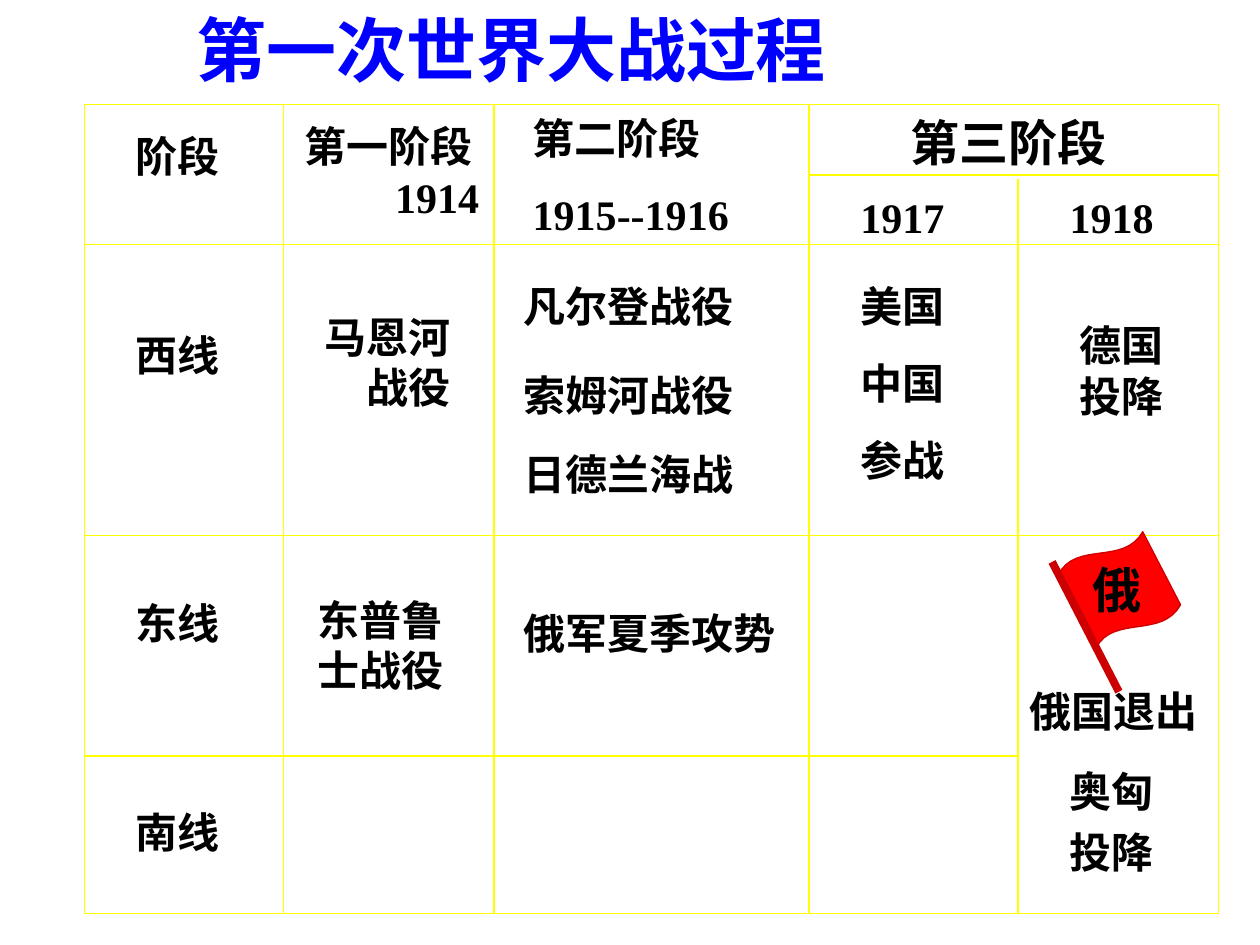
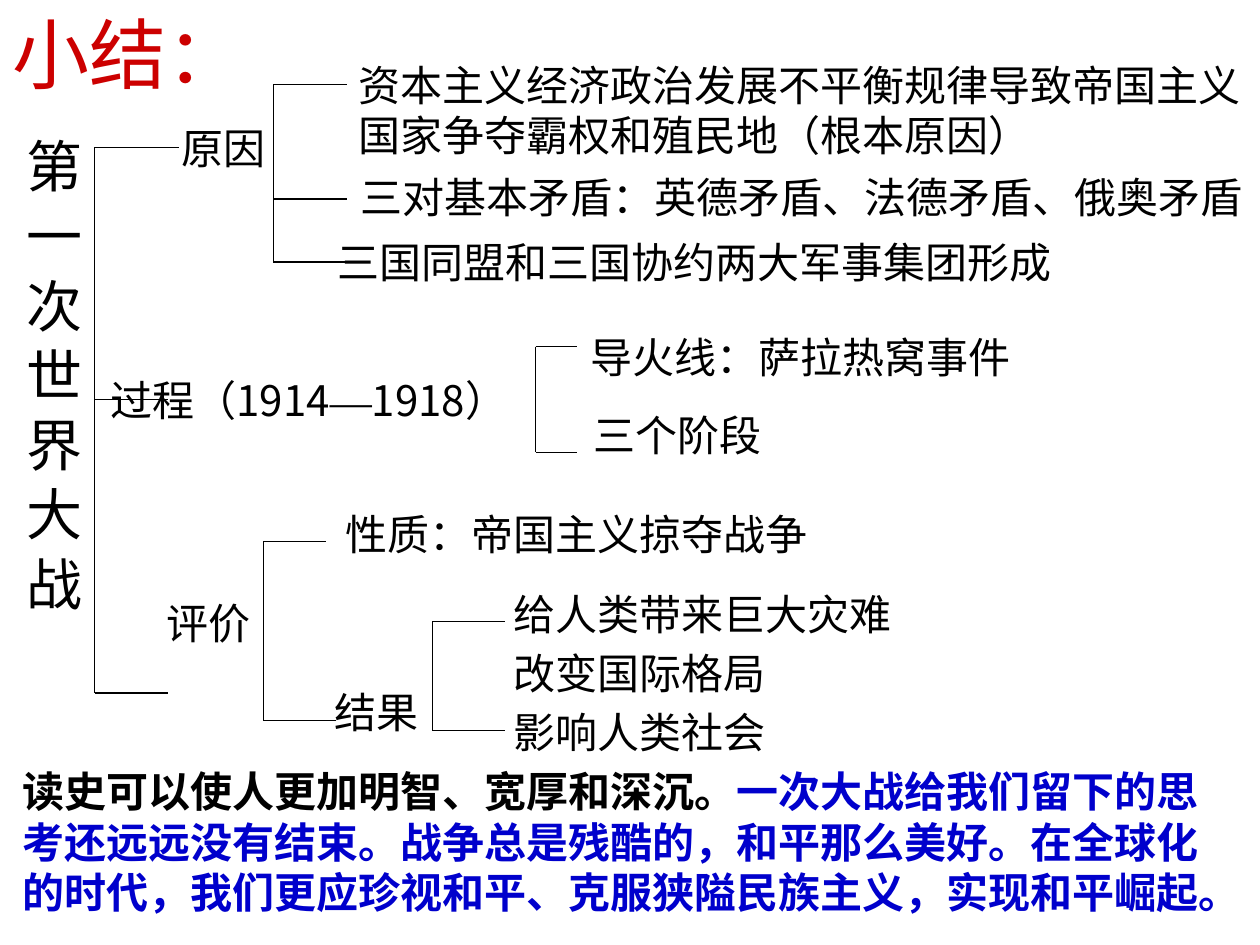
from dataclasses import dataclass

from lxml import etree
from pptx import Presentation
from pptx.dml.color import RGBColor
from pptx.enum.shapes import MSO_CONNECTOR, MSO_SHAPE
from pptx.enum.text import MSO_ANCHOR, MSO_AUTO_SIZE, PP_ALIGN
from pptx.oxml.ns import qn
from pptx.util import Inches, Pt

LEFT, RIGHT = PP_ALIGN.LEFT, PP_ALIGN.RIGHT
TOP = MSO_ANCHOR.TOP
FIXED = MSO_AUTO_SIZE.NONE
RECT = MSO_SHAPE.RECTANGLE
STRAIGHT = MSO_CONNECTOR.STRAIGHT

WIDE, HIGH = Inches(10), Inches(7.5)
COLS, ROWS = 100, 75
TITLE_ONLY = 5


@dataclass(frozen=True)
class Theme:
    black: str = "000000"
    blue: str = "0000FF"
    navy: str = "0000CC"
    red: str = "FF0000"
    dark: str = "CC0000"
    yellow: str = "FFFF00"
    sans: str = "Noto Sans CJK SC"
    serif: str = "Times New Roman"
    plain: str = "Arial"
    body: int = 24
    large: int = 28
    spine: int = 32
    head: int = 40
    recap: int = 44
    thin: float = 0.75
    pole: float = 4.5


T = Theme()


@dataclass(frozen=True)
class Style:
    size: int = T.body
    face: str = T.sans
    color: str = T.black
    bold: bool = False


@dataclass(frozen=True)
class Run:
    text: str
    face: str = ""
    color: str = ""


@dataclass(frozen=True)
class Label:
    x: float
    y: float
    w: float
    h: float
    lines: tuple
    style: Style = Style()
    gaps: tuple = ()
    aligns: tuple = ()


@dataclass(frozen=True)
class Rule:
    x1: float
    y1: float
    x2: float
    y2: float


@dataclass(frozen=True)
class Fork:
    x: float
    tips: tuple


CELL = Style(face=T.serif, bold=True)
CELL_SANS = Style(bold=True)
CELL_BIG = Style(T.large, T.serif, bold=True)
NOTE = Style()

X = (6.7, 22.5, 39.2, 64.2, 80.8, 96.7)
Y = (8.3, 13.9, 19.4, 42.5, 60, 72.5)

GRID = (
    *(Rule(x, Y[0], x, Y[-1]) for x in X[1:4]),
    Rule(X[4], 14.2, X[4], Y[-1]),
    Rule(X[3], Y[1], X[-1], Y[1]),
    *(Rule(X[0], y, X[-1], y) for y in Y[2:4]),
    Rule(X[0], Y[4], X[4], Y[4]),
)

HEADS = (
    Label(9.8, 9.9, 13.3, 5, ("阶段",), CELL),
    Label(23.2, 9.1, 15.8, 9, ("第一阶段", "1914"), CELL,
          aligns=(LEFT, RIGHT)),
    Label(41.3, 8.4, 23.3, 11.1, ("第二阶段", "1915--1916"), CELL, (0, 15)),
    Label(71.3, 8.4, 22.5, 5.7, ("第三阶段",), CELL_BIG),
    Label(67.3, 14.7, 14.2, 5, ("1917",), CELL),
    Label(83.9, 14.7, 11.7, 5, ("1918",), CELL),
)

FRONTS = (
    Label(9.8, 25.7, 10.2, 5, ("西线",), CELL_SANS),
    Label(9.8, 46.9, 10.2, 5, ("东线",), CELL),
    Label(9.8, 63.5, 10.2, 5, ("南线",), CELL),
)

EVENTS = (
    Label(24.2, 24.2, 12.5, 13, ("马恩河", "战役"), CELL_SANS,
          aligns=(RIGHT, RIGHT)),
    Label(24.2, 46.7, 13.2, 9, ("东普鲁士战役",), CELL),
    Label(40.6, 21.8, 21.3, 5, ("凡尔登战役",), CELL),
    Label(40.6, 28.8, 21.3, 5, ("索姆河战役",), CELL),
    Label(40.6, 35.1, 21.3, 5, ("日德兰海战",), CELL),
    Label(40.6, 47.7, 22.8, 5, ("俄军夏季攻势",), CELL),
    Label(67.3, 21.8, 11, 17.2, ("美国", "中国", "参战"), CELL, (0, 15, 15)),
    Label(84.7, 24.9, 9.4, 9, ("德国投降",), CELL),
    Label(83.9, 60.3, 9.5, 9.9, ("奥匈", "投降"), CELL, (0, 6)),
    Label(85.7, 43.9, 7.5, 5.7, ("俄",), CELL_BIG),
    Label(80.7, 53.9, 15.8, 5, ("俄国退出",), CELL),
)

HOIST = ((84, 45.6), (85.4, 42.9), (89.2, 44.9), (90.7, 42.2))
FLY = ((93.7, 48), (92.2, 50.7), (88.4, 48.8), (87, 51.4))
POLE = Rule(83.5, 44.6, 88.8, 54.9)

FORKS = (
    Fork(7.5, ((11.7, 14.2), (31.7, 13.3), (55, 13.3))),
    Fork(21.7, ((6.7, 27.5), (15.8, 27.5), (20.8, 27.5))),
    Fork(42.5, ((27.5, 45.8), (35.9, 45.8))),
    Fork(20.9, ((43, 25.9), (57.2, 26.7))),
    Fork(34.3, ((49.3, 40.1), (58, 40.1))),
)

POINTS = (
    Label(13.4, 9.2, 9, 5, ("原因",), Style(face=T.serif)),
    Label(27.5, 4.2, 72.5, 9,
          ("资本主义经济政治发展不平衡规律导致帝国主义",
           "国家争夺霸权和殖民地（根本原因）")),
    Label(27.6, 13.1, 72.4, 5,
          ("三对基本矛盾：英德矛盾、法德矛盾、俄奥矛盾",)),
    Label(25.8, 18.3, 74.2, 5, ("三国同盟和三国协约两大军事集团形成",)),
    Label(7.8, 29.2, 40.4, 5,
          ((Run("过程（1914"), Run("—", face=T.serif), Run("1918）")),)),
    Label(45.9, 25.8, 36, 5, ("导火线：萨拉热窝事件",)),
    Label(46.1, 32, 16, 5, ("三个阶段",)),
    Label(12.2, 46.9, 9, 5, ("评价",)),
    Label(26.4, 39.9, 39.5, 5, ("性质：帝国主义掠夺战争",)),
    Label(25.6, 54, 9, 5, ("结果",)),
    Label(39.8, 46.2, 32.5, 5, ("给人类带来巨大灾难",)),
    Label(39.8, 50.9, 22.5, 5, ("改变国际格局",)),
    Label(39.8, 55.6, 30.7, 5, ("影响人类社会",)),
    Label(0.8, 60.3, 99.2, 13,
          ((Run("读史可以使人更加明智、宽厚和深沉。", color=T.black),
            Run("一次大战给我们留下的思")),
           "考还远远没有结束。战争总是残酷的，和平那么美好。在全球化",
           "的时代，我们更应珍视和平、克服狭隘民族主义，实现和平崛起。"),
          Style(face=T.plain, color=T.navy, bold=True)),
)
SPINE = Label(0, 10, 7.3, 47.5, ("第 一 次 世 界 大 战",), Style(T.spine))


def col(n: float) -> int:
    return round(WIDE * n / COLS)


def row(n: float) -> int:
    return round(HIGH * n / ROWS)


def rgb(code: str) -> RGBColor:
    return RGBColor.from_string(code)


def write(para, line, style: Style) -> None:
    font = para.font
    font.size, font.bold, font.name = Pt(style.size), style.bold, style.face
    font.color.rgb = rgb(style.color)
    base = para._p.pPr.find(qn("a:defRPr"))
    etree.SubElement(base, qn("a:ea")).set("typeface", T.sans)
    for part in (Run(line),) if isinstance(line, str) else line:
        run = para.add_run()
        run.text = part.text
        if part.face:
            run.font.name = part.face
        if part.color:
            run.font.color.rgb = rgb(part.color)


def fill(shape, label: Label):
    shape.left, shape.top = col(label.x), row(label.y)
    shape.width, shape.height = col(label.w), row(label.h)
    frame = shape.text_frame
    frame.word_wrap, frame.auto_size = True, FIXED
    frame.vertical_anchor = TOP
    for i, line in enumerate(label.lines):
        para = frame.add_paragraph() if i else frame.paragraphs[0]
        para.alignment = label.aligns[i] if label.aligns else LEFT
        para.space_before = Pt(label.gaps[i] if label.gaps else 0)
        write(para, line, label.style)
    return frame


def place(slide, label: Label):
    return fill(slide.shapes.add_textbox(0, 0, 0, 0), label)


def draw(slide, rule: Rule, color: str, width: float = T.thin) -> None:
    line = slide.shapes.add_connector(
        STRAIGHT, col(rule.x1), row(rule.y1), col(rule.x2), row(rule.y2))
    line.line.color.rgb, line.line.width = rgb(color), Pt(width)
    etree.SubElement(line._element.spPr, qn("a:effectLst"))


def branch(slide, fork: Fork) -> None:
    draw(slide, Rule(fork.x, fork.tips[0][0], fork.x, fork.tips[-1][0]),
         T.black)
    for y, end in fork.tips:
        draw(slide, Rule(fork.x, y, end, y), T.black)


def curve(knots: tuple, steps: int = 16) -> list:
    spots = []
    for i in range(steps + 1):
        t = i / steps
        u = 1 - t
        ways = (u ** 3, 3 * u * u * t, 3 * u * t * t, t ** 3)
        x, y = (sum(w * k[n] for w, k in zip(ways, knots)) for n in (0, 1))
        spots.append((col(x), row(y)))
    return spots


def flag(slide) -> None:
    spots = curve(HOIST) + curve(FLY)
    pen = slide.shapes.build_freeform(*spots[0])
    pen.add_line_segments(spots[1:], close=True)
    cloth = pen.convert_to_shape()
    cloth.shadow.inherit = False
    cloth.fill.solid()
    cloth.fill.fore_color.rgb = rgb(T.red)
    cloth.line.color.rgb, cloth.line.width = rgb(T.dark), Pt(T.thin)
    draw(slide, POLE, T.dark, T.pole)


def start(deck, title: Label):
    slide = deck.slides.add_slide(deck.slide_layouts[TITLE_ONLY])
    fill(slide.shapes.title, title)
    return slide


def course(deck) -> None:
    slide = start(deck, Label(14.6, 0, 80.6, 7.7, ("第一次世界大战过程",),
                              Style(T.head, color=T.blue, bold=True)))
    box = slide.shapes.add_shape(
        RECT, col(X[0]), row(Y[0]), col(X[-1] - X[0]), row(Y[-1] - Y[0]))
    box.shadow.inherit = False
    box.fill.background()
    box.line.color.rgb, box.line.width = rgb(T.yellow), Pt(T.thin)
    for rule in GRID:
        draw(slide, rule, T.yellow)
    flag(slide)
    for label in HEADS + FRONTS + EVENTS:
        place(slide, label)


def recap(deck) -> None:
    slide = start(deck, Label(0, 0, 20.6, 8.4, ("小结：",),
                              Style(T.recap, T.serif, T.dark)))
    frame = place(slide, SPINE)
    frame._txBody.bodyPr.set("vert", "eaVert")
    frame.margin_left = frame.margin_right = Inches(0.05)
    frame.margin_top = frame.margin_bottom = Inches(0.1)
    for fork in FORKS:
        branch(slide, fork)
    for label in POINTS:
        place(slide, label)


def main() -> None:
    deck = Presentation()
    deck.slide_width, deck.slide_height = WIDE, HIGH
    course(deck)
    recap(deck)
    deck.save("out.pptx")


if __name__ == "__main__":
    main()
